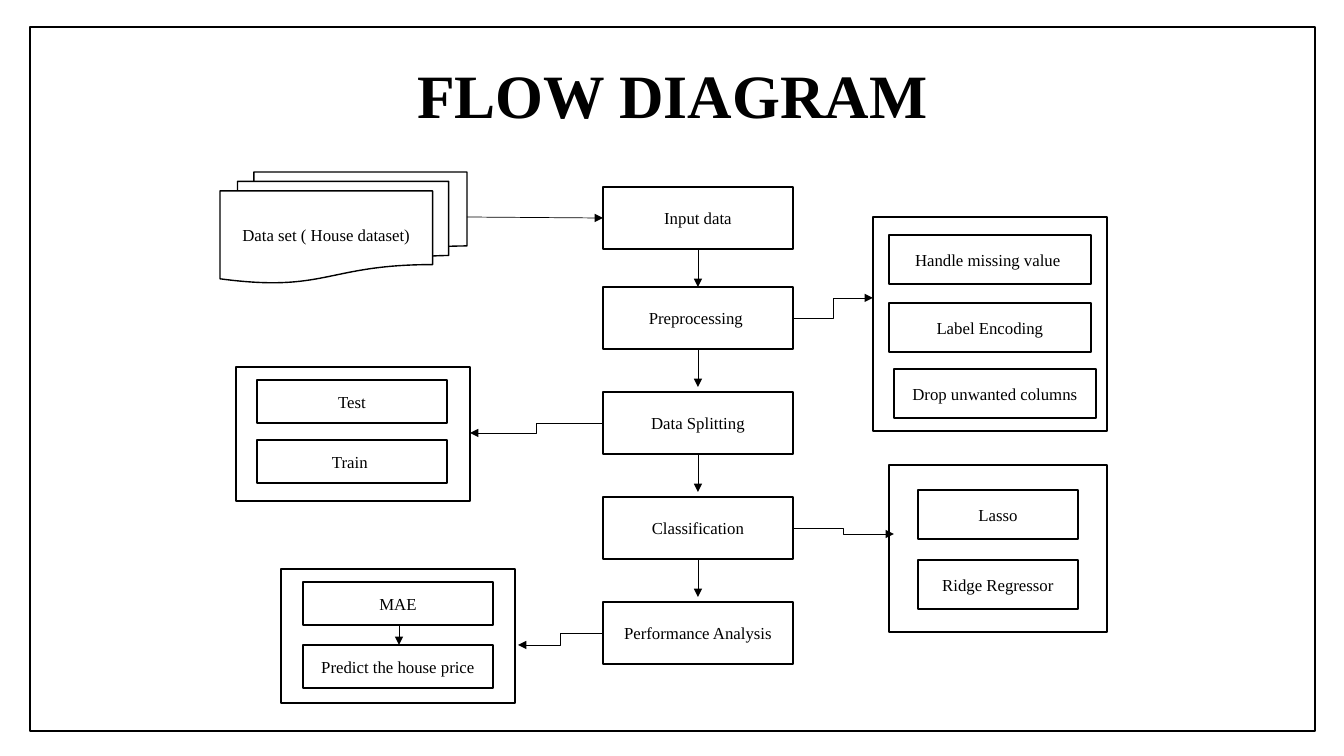
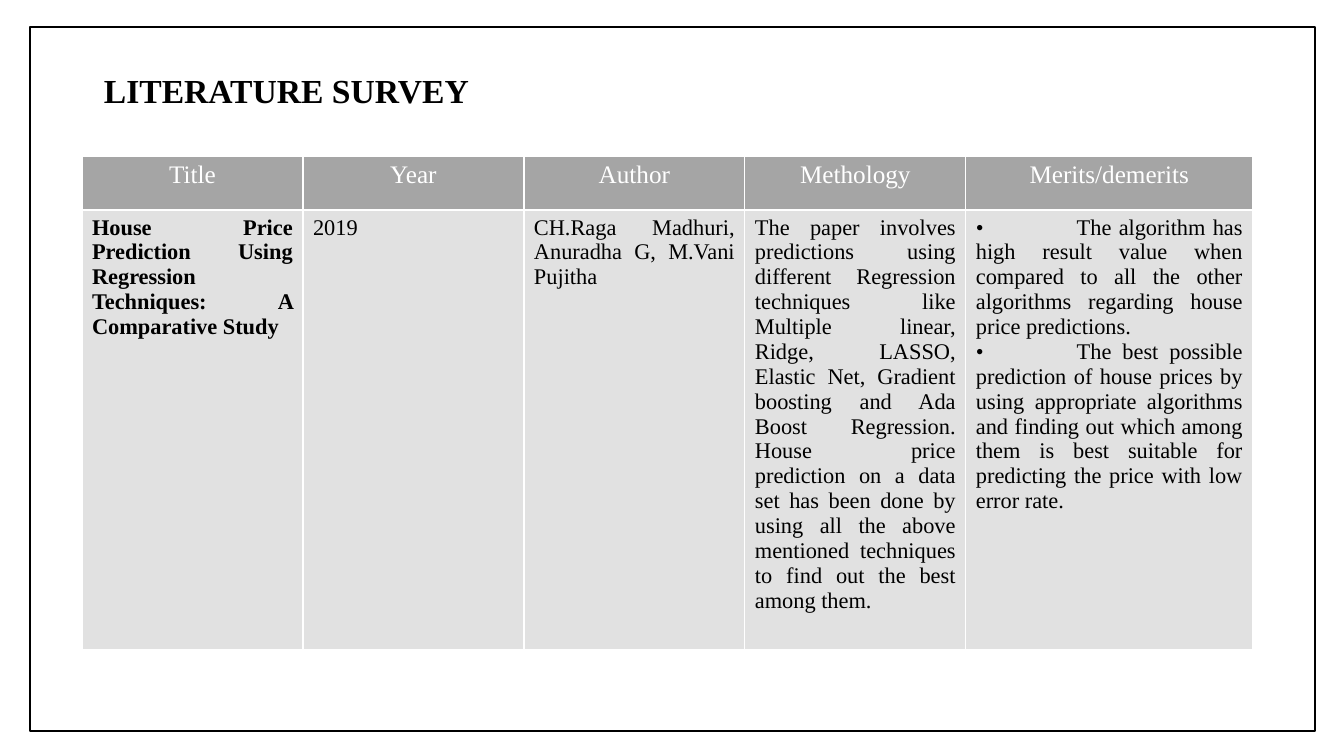
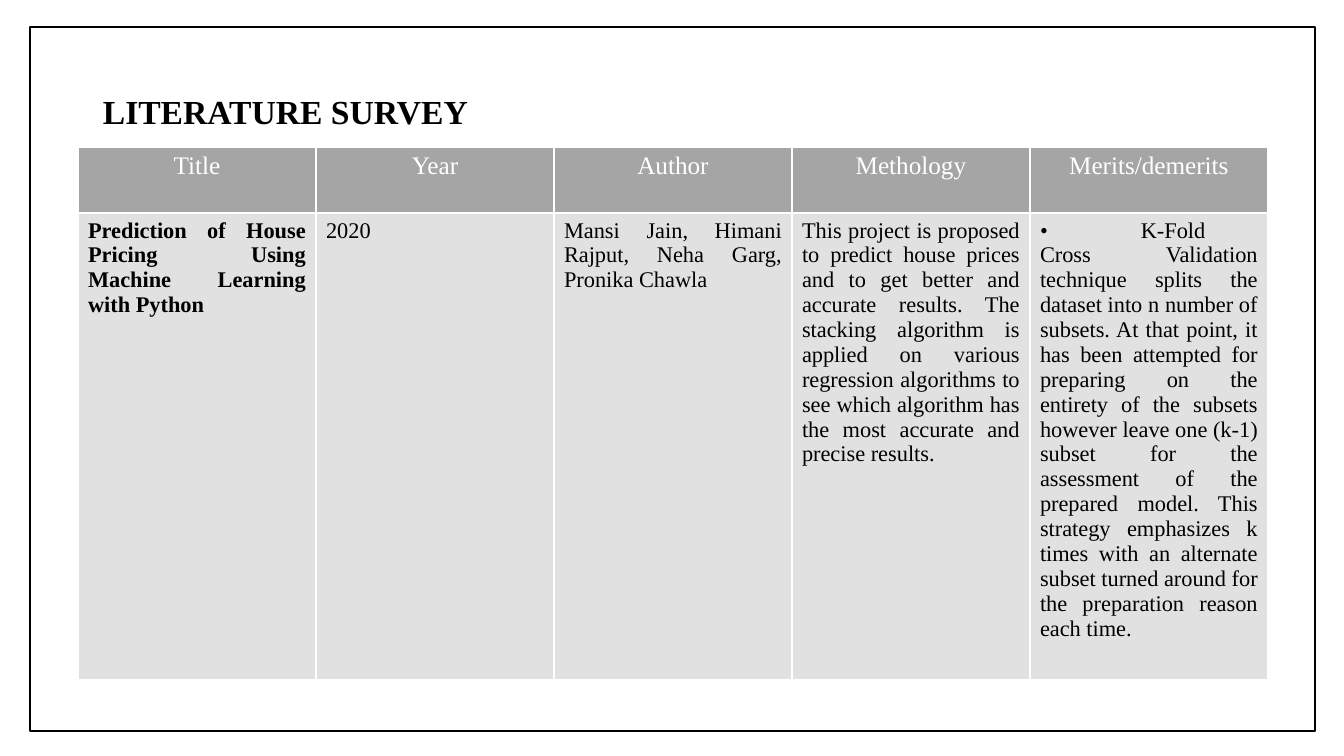
from lxml import etree
from pptx import Presentation
from pptx.dml.color import RGBColor
from pptx.enum import shapes, text
from pptx.oxml.ns import qn
from pptx.util import Inches, Pt

PX = 914400 / 100.8
FONT = "Times New Roman"
BLACK = RGBColor(0x00, 0x00, 0x00)
WHITE = RGBColor(0xFF, 0xFF, 0xFF)
HEADER_GRAY = RGBColor(0xA5, 0xA5, 0xA5)
BODY_GRAY = RGBColor(0xE1, 0xE1, 0xE1)
KIND = shapes.MSO_SHAPE
LINK = shapes.MSO_CONNECTOR
ALIGN = text.PP_ALIGN


def write(frame, lines, size, align, color=BLACK, bold=False):
    """Fill a text frame, one paragraph per line."""
    for index, line in enumerate(lines):
        paragraph = frame.add_paragraph() if index else frame.paragraphs[0]
        paragraph.alignment = align
        if "\t" in line:
            stops = etree.SubElement(paragraph._p.get_or_add_pPr(), qn("a:tabLst"))
            etree.SubElement(stops, qn("a:tab"), pos=str(Inches(1)), algn="l")
        run = paragraph.add_run()
        run.text = line
        run.font.name = FONT
        run.font.size = Pt(size)
        run.font.bold = bold
        run.font.color.rgb = color


def add_box(slide, rect, label="", kind=KIND.RECTANGLE, filled=True):
    box = slide.shapes.add_shape(kind, *[round(n * PX) for n in rect])
    box.shadow.inherit = False
    if filled:
        box.fill.solid()
        box.fill.fore_color.rgb = WHITE
    else:
        box.fill.background()
    box.line.color.rgb = BLACK
    box.line.width = Pt(1)
    if label:
        write(box.text_frame, [label], 12, ALIGN.CENTER)


prs = Presentation()
prs.slide_width = round(1344 * PX)
prs.slide_height = round(756 * PX)

# Shared frame and title
titles = [
    ("FLOW DIAGRAM", 93, 26, 44, ALIGN.CENTER),
    ("LITERATURE SURVEY", 94, 20, 24, ALIGN.LEFT),
    ("LITERATURE SURVEY", 93, 41, 24, ALIGN.LEFT),
]
slides = []
for heading, left, top, size, align in titles:
    slide = prs.slides.add_slide(prs.slide_layouts[6])
    slides.append(slide)
    add_box(slide, (30, 27, 1285, 704), filled=False)
    title = slide.shapes.add_textbox(*[round(n * PX) for n in (left, top, 1159, 146)])
    title.text_frame.word_wrap = True
    title.text_frame.vertical_anchor = text.MSO_ANCHOR.MIDDLE
    write(title.text_frame, [heading], size, align, bold=True)
    title.text_frame.paragraphs[0].line_spacing = 0.9

# Flow diagram
flow, *surveys = slides
add_box(flow, (220, 172, 247, 111), "Data set ( House dataset)", KIND.FLOWCHART_MULTIDOCUMENT)

STEP_LEFT, STEP_WIDTH, STEP_HEIGHT = 603, 190, 62
step_center = STEP_LEFT + STEP_WIDTH // 2
step_right = STEP_LEFT + STEP_WIDTH
steps = [
    ("Input data", 187),
    ("Preprocessing ", 287),
    ("Data Splitting", 392),
    ("Classification", 497),
    ("Performance Analysis", 602),
]
arrows = [
    (LINK.STRAIGHT, 467, 217, STEP_LEFT, 218),
    (LINK.ELBOW, step_right, 318, 873, 298),
    (LINK.ELBOW, STEP_LEFT, 423, 470, 433),
    (LINK.ELBOW, step_right, 528, 894, 534),
    (LINK.ELBOW, STEP_LEFT, 633, 518, 645),
    (LINK.STRAIGHT, 399, 625, 399, 645),
]
for name, top in steps:
    add_box(flow, (STEP_LEFT, top, STEP_WIDTH, STEP_HEIGHT), name)
    if name != steps[-1][0]:
        bottom = top + STEP_HEIGHT
        arrows.append((LINK.STRAIGHT, step_center, bottom, step_center, bottom + 38))

# Each panel: its outline, the size of its items, the items
panels = [
    ((873, 217, 234, 214), (202, 49), [
        ("Handle missing value ", 889, 235),
        ("Label Encoding", 889, 303),
        ("Drop unwanted columns", 894, 369),
    ]),
    ((889, 465, 218, 167), (160, 49), [("Lasso", 918, 490), ("Ridge Regressor", 918, 560)]),
    ((236, 367, 234, 134), (190, 43), [("Test", 257, 380), ("Train ", 257, 440)]),
    ((281, 569, 234, 134), (190, 43), [("MAE", 303, 582), ("Predict the house price", 303, 645)]),
]
for outline, item_size, items in panels:
    add_box(flow, outline)
    for name, left, top in items:
        add_box(flow, (left, top, *item_size), name)

for kind, *ends in arrows:
    arrow = flow.shapes.add_connector(kind, *[round(n * PX) for n in ends])
    arrow.line.color.rgb = BLACK
    arrow.line.width = Pt(0.5)
    etree.SubElement(arrow.line._get_or_add_ln(), qn("a:tailEnd"), type="triangle")
    etree.SubElement(arrow._element.spPr, qn("a:effectLst"))

# Literature survey tables: left, top, height, columns, rows, study
headers = ["Title", "Year", "Author", "Methology", "Merits/demerits"]
studies = [
    (82, 156, 495, [221, 221, 221, 221, 287], [54, 363], [
        ["House Price Prediction Using Regression Techniques: A Comparative Study"],
        ["2019"],
        ["CH.Raga Madhuri, Anuradha G, M.Vani Pujitha"],
        ["The paper involves predictions using different Regression techniques like "
         "Multiple linear, Ridge, LASSO, Elastic Net, Gradient boosting and Ada Boost "
         "Regression. House price prediction on a data set has been done by using all "
         "the above mentioned techniques to find out the best among them."],
        ["•\tThe algorithm has high result value when compared to all the other "
         "algorithms regarding house price predictions.",
         "•\tThe best possible prediction of house prices by using appropriate "
         "algorithms and finding out which among them is best suitable for predicting "
         "the price with low error rate."],
    ]),
    (78, 147, 533, [238] * 5, [66, 441], [
        ["Prediction of House Pricing Using Machine Learning with Python"],
        ["2020"],
        ["Mansi Jain, Himani Rajput, Neha Garg, Pronika Chawla"],
        ["This project is proposed to predict house prices and to get better and "
         "accurate results. The stacking algorithm is applied on various regression "
         "algorithms to see which algorithm has the most accurate and precise results."],
        ["•\tK-Fold Cross Validation technique splits the dataset into n number of "
         "subsets. At that point, it has been attempted for preparing on the entirety "
         "of the subsets however leave one (k-1) subset for the assessment of the "
         "prepared model. This strategy emphasizes k times with an alternate subset "
         "turned around for the preparation reason each time."],
    ]),
]
for slide, (left, top, full_height, widths, heights, study) in zip(surveys, studies):
    area = (left, top, sum(widths), full_height)
    table = slide.shapes.add_table(2, len(headers), *[round(n * PX) for n in area]).table
    for row, height in zip(table.rows, heights):
        row.height = round(height * PX)
    for index, width in enumerate(widths):
        table.columns[index].width = round(width * PX)
        header, body = table.cell(0, index), table.cell(1, index)
        for cell, fill in ((header, HEADER_GRAY), (body, BODY_GRAY)):
            properties = cell._tc.get_or_add_tcPr()
            for side in ("lnL", "lnR", "lnT", "lnB"):
                border = etree.SubElement(properties, qn(f"a:{side}"), w=str(Pt(1)))
                paint = etree.SubElement(border, qn("a:solidFill"))
                etree.SubElement(paint, qn("a:srgbClr"), val=str(WHITE))
            cell.fill.solid()
            cell.fill.fore_color.rgb = fill
        write(header.text_frame, [headers[index]], 18, ALIGN.CENTER, WHITE)
        write(body.text_frame, study[index], 16, ALIGN.JUSTIFY, bold=index == 0)

prs.save("out.pptx")
